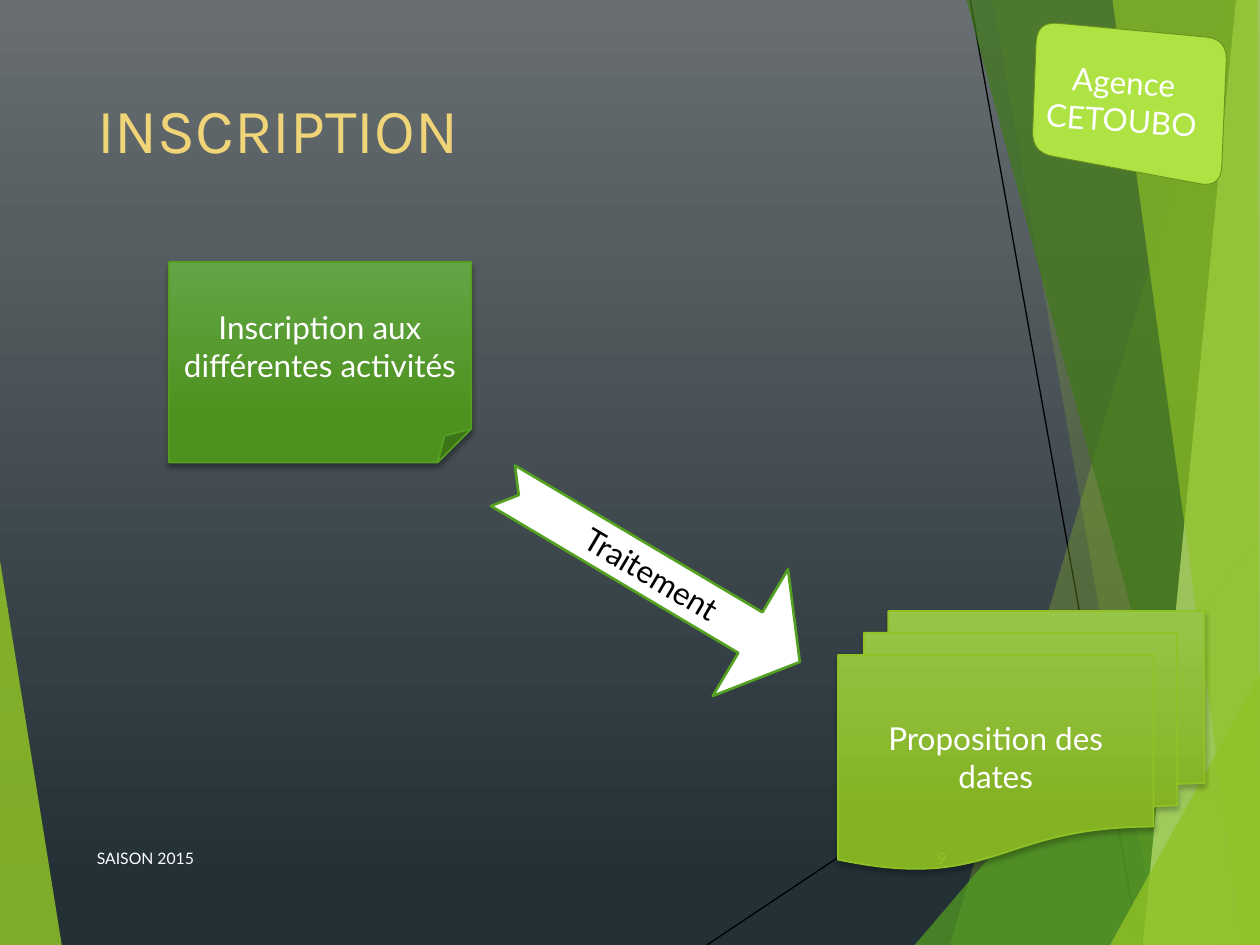
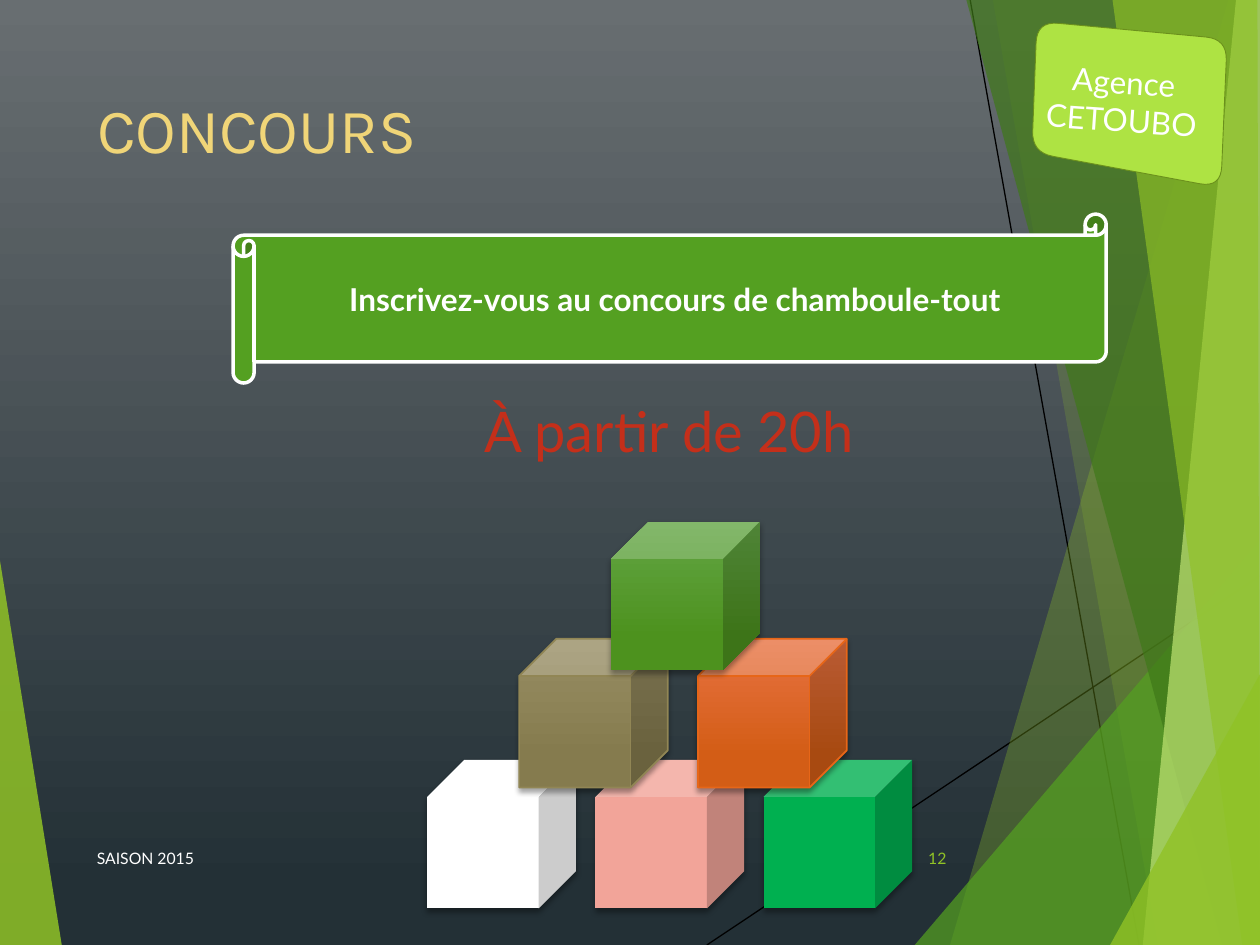
from lxml.etree import SubElement
from pptx import Presentation
from pptx.dml.color import RGBColor
from pptx.enum.shapes import MSO_CONNECTOR, MSO_SHAPE
from pptx.enum.text import MSO_ANCHOR, PP_ALIGN
from pptx.oxml.ns import qn
from pptx.util import Inches, Pt

# Content and palette
BODY_FONT, TITLE_FONT = "Lato", "Karla"
WHITE, BLACK, GOLD, RED = "FFFFFF", "000000", "F0D578", "C42F1A"
GREEN, LIME, DARK_GREEN, PALE_LIME = "54A021", "90C226", "3F7819", "C0E474"
GREEN_FADE, LIME_FADE = ("63A545", "4D921E"), ("97C547", "84B223")
TAN_FADE, ORANGE_FADE = ("988E64", "857B4E"), ("E87242", "D35D16")

SEASON, AGENCY = "SAISON 2015", "Agence CETOUBO"
SIGNUP = {"title": "INSCRIPTION", "number": "9",
          "form": "Inscription aux différentes activités",
          "step": "Traitement", "result": "Proposition des dates"}
CONTEST = {"title": "CONCOURS", "number": "12",
           "banner": "Inscrivez-vous au concours de chamboule-tout",
           "time": "À partir de 20h"}

# Decorative bands: (colour, opacity %, corner points)
LEFT_BAND = (LIME, 85, [(0, 4.45), (0.49, 7.5), (0, 7.5)])
RIGHT_BANDS = [
    (LIME, 30, [(9.75, 0), (7.54, 7.5), (10, 7.5), (10, 0)]),
    (LIME, 20, [(7.88, 0), (9.19, 7.5), (10, 7.5), (10, 0)]),
    (GREEN, 72, [(7.26, 7.5), (10, 4.29), (10, 7.5)]),
    (DARK_GREEN, 70, [(7.67, 0), (9.7, 7.5), (10, 7.5), (10, 0)]),
    (PALE_LIME, 70, [(9.81, 0), (9.07, 7.5), (10, 7.5), (10, 0)]),
    (LIME, 65, [(8.83, 0), (9.86, 7.5), (10, 7.5), (9.98, 0)]),
    (LIME, 80, [(8.81, 7.5), (10, 5.35), (10, 7.5)]),
]
RULES = [(5.61, 7.5, 10, 4.57), (7.7, 0, 9.04, 7.5)]
BADGE = [(8.23, 0.17), (9.74, 0.31), (9.69, 1.49), (8.19, 1.21)]

# Pyramid rows, bottom first: (left, top, step, [(fill, line)])
CUBE = 1.18
PYRAMID = [
    (3.39, 6.03, 1.335, [(WHITE, None), ("F2A499", None), ("00B050", None)]),
    (4.12, 5.07, 1.42, [(TAN_FADE, "918655"), (ORANGE_FADE, "E76618")]),
    (4.85, 4.14, 0, [(GREEN_FADE, None)]),
]


def rgb(value):
    return RGBColor.from_string(value)


def set_alpha(color_el, percent):
    SubElement(color_el, qn("a:alpha")).set("val", str(percent * 1000))


def paint_gradient(fill, colors, end):
    fill.gradient()
    fill.gradient_angle = 270
    for stop, color, pos in zip(fill.gradient_stops, colors, (0, end)):
        stop.color.rgb = rgb(color)
        stop.position = pos


def paint(sp, fill, line=None, width=1.0, alpha=None, shadow=None):
    """Fill is a hex string or a (top, bottom) pair; alpha and shadow are %."""
    if isinstance(fill, tuple):
        paint_gradient(sp.fill, fill, 0.78)
    else:
        sp.fill.solid()
        sp.fill.fore_color.rgb = rgb(fill)
    if alpha:
        set_alpha(next(sp.element.spPr.iter(qn("a:srgbClr"))), alpha)
    if line:
        sp.line.color.rgb = rgb(line)
        sp.line.width = Pt(width)
    else:
        sp.line.fill.background()
    sp.shadow.inherit = False
    if shadow:
        effects = sp.element.spPr.find(qn("a:effectLst"))
        outer = SubElement(effects, qn("a:outerShdw"), blurRad=str(Pt(3)),
                           dist=str(Pt(2)), dir="5400000", rotWithShape="0")
        set_alpha(SubElement(outer, qn("a:srgbClr"), val=BLACK), shadow)


def write(sp, text, color=WHITE, size=18, align=PP_ALIGN.CENTER, font=BODY_FONT,
          bold=False, anchor=MSO_ANCHOR.MIDDLE, wrap=True):
    tf = sp.text_frame
    tf.word_wrap = wrap
    tf.vertical_anchor = anchor
    p = tf.paragraphs[0]
    p.alignment = align
    r = p.add_run()
    r.text = text
    r.font.name, r.font.size, r.font.bold = font, Pt(size), bold
    r.font.color.rgb = rgb(color)


def add_shape(s, kind, box, fill, **style):
    sp = s.shapes.add_shape(kind, *map(Inches, box))
    paint(sp, fill, **style)
    return sp


def add_text(s, box, text, **style):
    sp = s.shapes.add_textbox(*map(Inches, box))
    write(sp, text, **style)
    return sp


def add_polygon(s, points, fill, **style):
    start, *rest = [(Inches(x), Inches(y)) for x, y in points]
    builder = s.shapes.build_freeform(*start)
    builder.add_line_segments(rest, close=True)
    paint(builder.convert_to_shape(), fill, **style)


def round_corners(points, radius=0.17, steps=8):
    """Replace each corner with points on a quadratic curve."""
    def toward(a, b):
        length = ((b[0] - a[0]) ** 2 + (b[1] - a[1]) ** 2) ** 0.5
        return [p + (q - p) * radius / length for p, q in zip(a, b)]

    rounded = []
    for i, corner in enumerate(points):
        start = toward(corner, points[i - 1])
        end = toward(corner, points[(i + 1) % len(points)])
        for k in range(steps + 1):
            t = k / steps
            rounded.append(tuple((1 - t) ** 2 * a + 2 * t * (1 - t) * c + t * t * b
                                 for a, c, b in zip(start, corner, end)))
    return rounded


def add_slide(prs, title):
    s = prs.slides.add_slide(prs.slide_layouts[5])
    # Bands and thin rules
    color, alpha, points = LEFT_BAND
    add_polygon(s, points, color, alpha=alpha)
    for ends in RULES:
        rule = s.shapes.add_connector(MSO_CONNECTOR.STRAIGHT, *map(Inches, ends))
        rule.line.color.rgb = rgb(BLACK)
        rule.line.width = Pt(0.75)
        SubElement(rule.element.spPr, qn("a:effectLst"))
    for color, alpha, points in RIGHT_BANDS:
        add_polygon(s, points, color, alpha=alpha)
    # Agency badge
    add_polygon(s, round_corners(BADGE), "AEE343", line="6B901C", width=0.5)
    add_text(s, (8.1, 0.35, 1.62, 0.9), AGENCY).rotation = 4
    # Title
    sp = s.shapes.title
    sp.left, sp.top, sp.width, sp.height = map(Inches, (0.67, 0.67, 6.94, 1.44))
    write(sp, title, GOLD, 36, PP_ALIGN.LEFT, TITLE_FONT, anchor=MSO_ANCHOR.TOP)
    return s


def add_footer(s, number):
    add_text(s, (7.05, 6.61, 0.56, 0.4), number, color=LIME, size=9,
             align=PP_ALIGN.RIGHT)
    add_text(s, (0.67, 6.61, 5.06, 0.4), SEASON, size=9, align=PP_ALIGN.LEFT)


def build_signup(prs):
    s = add_slide(prs, SIGNUP["title"])
    form = add_shape(s, MSO_SHAPE.FOLDED_CORNER, (1.34, 2.08, 2.4, 1.59),
                     GREEN_FADE, line=GREEN, shadow=35)
    write(form, SIGNUP["form"])
    arrow = add_shape(s, MSO_SHAPE.NOTCHED_RIGHT_ARROW, (3.8, 3.97, 2.74, 1.17),
                      WHITE, line=GREEN, width=1.5)
    arrow.adjustments[0], arrow.adjustments[1] = 0.32, 0.39
    arrow.rotation = 30.7
    write(arrow, SIGNUP["step"], BLACK)
    result = add_shape(s, MSO_SHAPE.FLOWCHART_MULTIDOCUMENT, (6.65, 4.85, 2.91, 2.05),
                       LIME_FADE, line=LIME, shadow=25)
    write(result, SIGNUP["result"])
    add_footer(s, SIGNUP["number"])


def build_contest(prs):
    s = add_slide(prs, CONTEST["title"])
    banner = add_shape(s, MSO_SHAPE.HORIZONTAL_SCROLL, (1.85, 1.7, 6.93, 1.34),
                       GREEN, line=WHITE, width=2)
    write(banner, CONTEST["banner"], bold=True)
    add_text(s, (3.61, 3.1, 3.4, 0.64), CONTEST["time"], color=RED, size=32,
             anchor=MSO_ANCHOR.TOP, wrap=False)
    # Pyramid of cubes
    for left, top, step, cubes in PYRAMID:
        for i, (fill, line) in enumerate(cubes):
            add_shape(s, MSO_SHAPE.CUBE, (left + i * step, top, CUBE, CUBE),
                      fill, line=line, shadow=35)
    add_footer(s, CONTEST["number"])


def main():
    prs = Presentation()
    prs.slide_width, prs.slide_height = Inches(10), Inches(7.5)
    paint_gradient(prs.slide_master.background.fill, ("686E71", "233036"), 0.94)
    build_signup(prs)
    build_contest(prs)
    prs.save("out.pptx")


if __name__ == "__main__":
    main()
